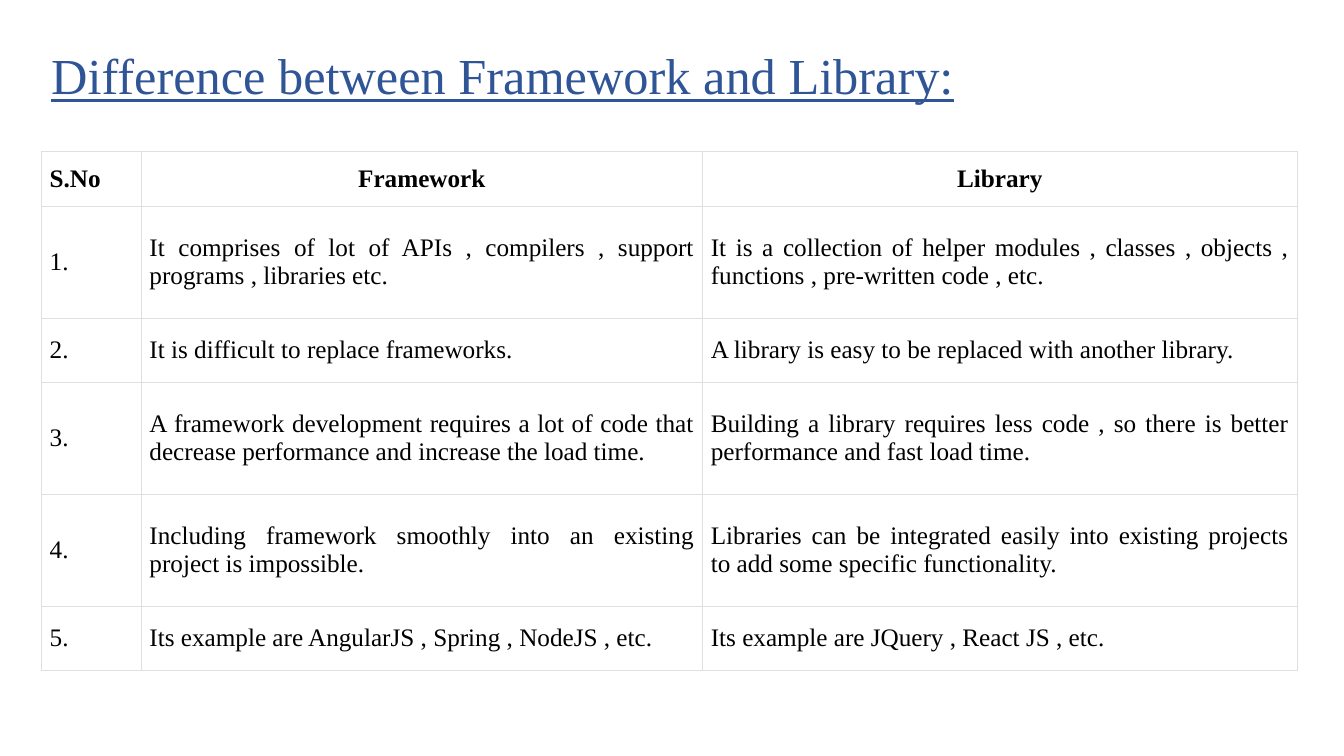
from dataclasses import dataclass

from lxml.etree import SubElement as Sub
from pptx import Presentation
from pptx.dml.color import RGBColor as Rgb
from pptx.enum.text import MSO_ANCHOR as Anchor, PP_ALIGN as Align
from pptx.oxml.ns import qn
from pptx.util import Pt

FONT = "Times New Roman"
HUES = {"title": "2F5597", "text": "000000", "fill": "FFFFFF", "edge": "DFDFDF"}
LEFT = 29.5
WIDTHS = (71.3, 401, 424.8)
HEAD_H = 37
SHORT, TALL = 46, 80
EDGE_W = 0.18


@dataclass
class Row:
    number: str
    frame: str
    library: str
    height: float


HEAD = Row("S.No", "Framework", "Library", HEAD_H)
ROWS = [
    Row("1.", "It comprises of lot of APIs , compilers , support programs , libraries etc.",
        "It is a collection of helper modules , classes , objects , functions , pre-written code , etc.",
        TALL),
    Row("2.", "It is difficult to replace frameworks.",
        "A library is easy to be replaced with another library.", SHORT),
    Row("3.", "A framework development requires a lot of code that decrease performance "
        "and increase the load time.",
        "Building a library requires less code , so there is better performance and fast load time.",
        TALL),
    Row("4.", "Including framework smoothly into an existing project is impossible.",
        "Libraries can be integrated easily into existing projects to add some specific functionality.",
        TALL),
    Row("5.", "Its example are AngularJS , Spring , NodeJS , etc.",
        "Its example are JQuery , React JS , etc.", SHORT),
]


def style(para, size: float, hue: str, bold: bool = False) -> None:
    font = para.font
    font.name, font.size, font.bold = FONT, Pt(size), bold
    font.color.rgb = Rgb.from_string(HUES[hue])


def add_edges(cell) -> None:
    props = cell._tc.get_or_add_tcPr()
    for side in ("lnL", "lnR", "lnT", "lnB"):
        line = Sub(props, qn(f"a:{side}"), w=str(Pt(EDGE_W)))
        fill = Sub(line, qn("a:solidFill"))
        Sub(fill, qn("a:srgbClr"), val=HUES["edge"])


def fill_cell(cell, text: str, align: Align, bold: bool) -> None:
    add_edges(cell)
    cell.fill.solid()
    cell.fill.fore_color.rgb = Rgb.from_string(HUES["fill"])
    cell.vertical_anchor = Anchor.MIDDLE
    cell.margin_left = cell.margin_right = Pt(6)
    cell.margin_top = cell.margin_bottom = Pt(8.64)
    cell.text = text
    para = cell.text_frame.paragraphs[0]
    para.alignment = align
    style(para, 18, "text", bold)


def add_title(slide) -> None:
    box = slide.shapes.add_textbox(Pt(LEFT), Pt(22.3), Pt(864.7), Pt(67.7))
    frame = box.text_frame
    frame.word_wrap = True
    frame.vertical_anchor = Anchor.MIDDLE
    para = frame.paragraphs[0]
    para.text = "Difference between Framework and Library:"
    para.line_spacing = 0.9
    style(para, 36, "title")
    para.font.underline = True


def add_grid(slide) -> None:
    rows = [HEAD, *ROWS]
    height = sum(row.height for row in rows)
    table = slide.shapes.add_table(len(rows), len(WIDTHS), Pt(LEFT), Pt(108.2),
                                   Pt(sum(WIDTHS)), Pt(height)).table
    table.first_row = table.horz_banding = False
    for col, width in zip(table.columns, WIDTHS):
        col.width = Pt(width)
    for r, row in enumerate(rows):
        table.rows[r].height = Pt(row.height)
        for c, text in enumerate((row.number, row.frame, row.library)):
            align = Align.CENTER if row is HEAD and c > 0 else Align.JUSTIFY
            fill_cell(table.cell(r, c), text, align, row is HEAD)


def main() -> None:
    deck = Presentation()
    deck.slide_width, deck.slide_height = Pt(960), Pt(540)
    slide = deck.slides.add_slide(deck.slide_layouts[6])
    # Heading
    add_title(slide)
    # Comparison table
    add_grid(slide)
    deck.save("out.pptx")


if __name__ == "__main__":
    main()
